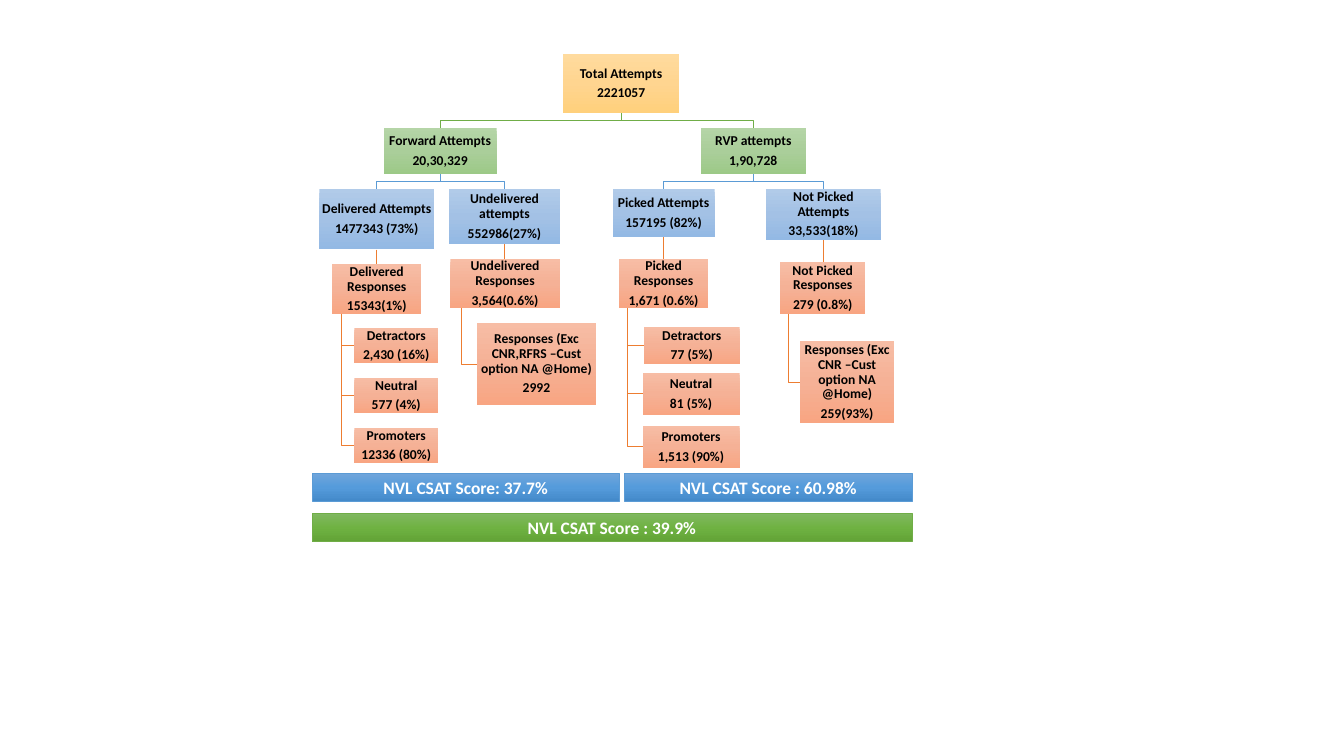
from copy import deepcopy
from lxml import etree
from pptx import Presentation
from pptx import util as u
from pptx.dml.color import RGBColor
from pptx.enum import shapes, text
from pptx.oxml.ns import qn


def color(value):
    return RGBColor.from_string(value)


def add_box(place, gradient, lines, size, font_color):
    box = slide.shapes.add_shape(shapes.MSO_SHAPE.RECTANGLE, *map(u.Cm, place))
    box.shadow.inherit = False
    box.fill.gradient()
    box.fill.gradient_angle = 270
    stop_list = box._element.spPr.find(qn("a:gradFill")).find(qn("a:gsLst"))
    stop_list.insert(1, deepcopy(stop_list[0]))
    for stop, position, shade in zip(box.fill.gradient_stops, (0, 0.5, 1), gradient):
        stop.position = position
        stop.color.rgb = color(shade)
    frame = box.text_frame
    frame.word_wrap = True
    frame.vertical_anchor = text.MSO_ANCHOR.MIDDLE
    frame.text = "\n".join(lines)
    for paragraph in frame.paragraphs:
        paragraph.alignment = text.PP_ALIGN.CENTER
        font = paragraph.runs[0].font
        font.name, font.size, font.bold = "Calibri", u.Pt(size), True
        font.color.rgb = color(font_color)
    return box


deck = Presentation()
deck.slide_width, deck.slide_height = u.Cm(48.92), u.Cm(27.51)
slide = deck.slides.add_slide(deck.slide_layouts[6])

gold = ("FFDB9E", "FFD590", "FFD07C")
green = ("B5D5A7", "AACE9A", "9CC987")
blue = ("B1CBE9", "A3C1E5", "93B9E4")
orange = ("F7BDA5", "F5B196", "F8A582")
level_gradients = (gold, green, blue, orange, orange)
level_lines = (None, "70AD47", "5B9BD5", "ED7D31", "ED7D31")

attempts = [
    (0, "Total Attempts", "2221057", (20.5, 1.96, 4.22, 2.16)),
    (1, "Forward Attempts", "20,30,329", (13.97, 4.65, 4.11, 1.7)),
    (2, "Delivered Attempts", "1477343 (73%)", (11.63, 6.88, 4.17, 2.2)),
    (3, "Delivered Responses", "15343(1%)", (12.09, 9.62, 3.25, 1.8)),
    (4, "Detractors", "2,430 (16%)", (12.9, 11.94, 3.05, 1.27)),
    (4, "Neutral", "577 (4%)", (12.9, 13.76, 3.05, 1.27)),
    (4, "Promoters", "12336 (80%)", (12.9, 15.58, 3.05, 1.27)),
    (2, "Undelivered attempts", "552986(27%)", (16.33, 6.88, 4.07, 2.01)),
    (3, "Undelivered Responses", "3,564(0.6%)", (16.39, 9.42, 3.99, 1.8)),
    (4, "Responses (Exc CNR,RFRS –Cust option NA @Home)", "2992",
     (17.37, 11.76, 4.32, 2.97)),
    (1, "RVP attempts", "1,90,728", (25.5, 4.65, 3.84, 1.7)),
    (2, "Picked Attempts", "157195 (82%)", (22.3, 6.88, 3.71, 1.75)),
    (3, "Picked Responses", "1,671 (0.6%)", (22.53, 9.42, 3.25, 1.8)),
    (4, "Detractors", "77 (5%)", (23.44, 11.89, 3.48, 1.37)),
    (4, "Neutral", "81 (5%)", (23.39, 13.56, 3.53, 1.55)),
    (4, "Promoters", "1,513 (90%)", (23.39, 15.49, 3.53, 1.55)),
    (2, "Not Picked Attempts", "33,533(18%)", (27.89, 6.88, 4.17, 1.85)),
    (3, "Not Picked Responses", "279 (0.8%)", (28.4, 9.53, 3.1, 1.9)),
    (4, "Responses (Exc CNR –Cust option NA @Home)", "259(93%)",
     (29.11, 12.42, 3.45, 2.97)),
]

latest = {}
for level, label, value, place in attempts:
    left, top, width, height = place
    latest[level] = place
    if level:
        parent_left, parent_top, parent_width, parent_height = latest[level - 1]
        start_x = parent_left + parent_width * (0.1 if level == 4 else 0.5)
        start_y = parent_top + parent_height
        if level == 3:
            branch = slide.shapes.add_connector(
                shapes.MSO_CONNECTOR.STRAIGHT,
                u.Cm(start_x), u.Cm(start_y), u.Cm(start_x), u.Cm(top))
        else:
            if level == 4:
                middle = top + height / 2
                bends = [(start_x, middle), (left, middle)]
            else:
                middle, center = (start_y + top) / 2, left + width / 2
                bends = [(start_x, middle), (center, middle), (center, top)]
            outline = slide.shapes.build_freeform(u.Cm(start_x), u.Cm(start_y))
            outline.add_line_segments([(u.Cm(x), u.Cm(y)) for x, y in bends], close=False)
            branch = outline.convert_to_shape()
            branch.fill.background()
        branch.line.color.rgb = color(level_lines[level])
        branch.line.width = u.Pt(1)
        etree.SubElement(branch._element.spPr, qn("a:effectLst"))

    node = add_box(place, level_gradients[level], (label, value), 14, "000000")
    node.line.fill.background()
    frame = node.text_frame
    frame.margin_left = frame.margin_right = u.Cm(0.03)
    frame.margin_top = frame.margin_bottom = u.Cm(0.03)
    for paragraph in frame.paragraphs:
        paragraph.line_spacing = 0.9
        paragraph.space_after = u.Pt(5)

score_blue = ("71A6DB", "559BDB", "448ACA")
score_green = ("81B861", "6FB242", "62A336")
scores = [
    ("NVL CSAT Score: 37.7%", (11.35, 17.22, 11.2, 1.02), score_blue, "5B9BD5"),
    ("NVL CSAT Score : 60.98%", (22.73, 17.22, 10.46, 1.02), score_blue, "5B9BD5"),
    ("NVL CSAT Score : 39.9%", (11.35, 18.69, 21.84, 1.02), score_green, "70AD47"),
]
for score, place, gradient, border in scores:
    bar = add_box(place, gradient, (score,), 18, "FFFFFF")
    bar.line.color.rgb = color(border)
    bar.line.width = u.Pt(0.5)
    bar.text_frame.auto_size = text.MSO_AUTO_SIZE.SHAPE_TO_FIT_TEXT

deck.save("out.pptx")
